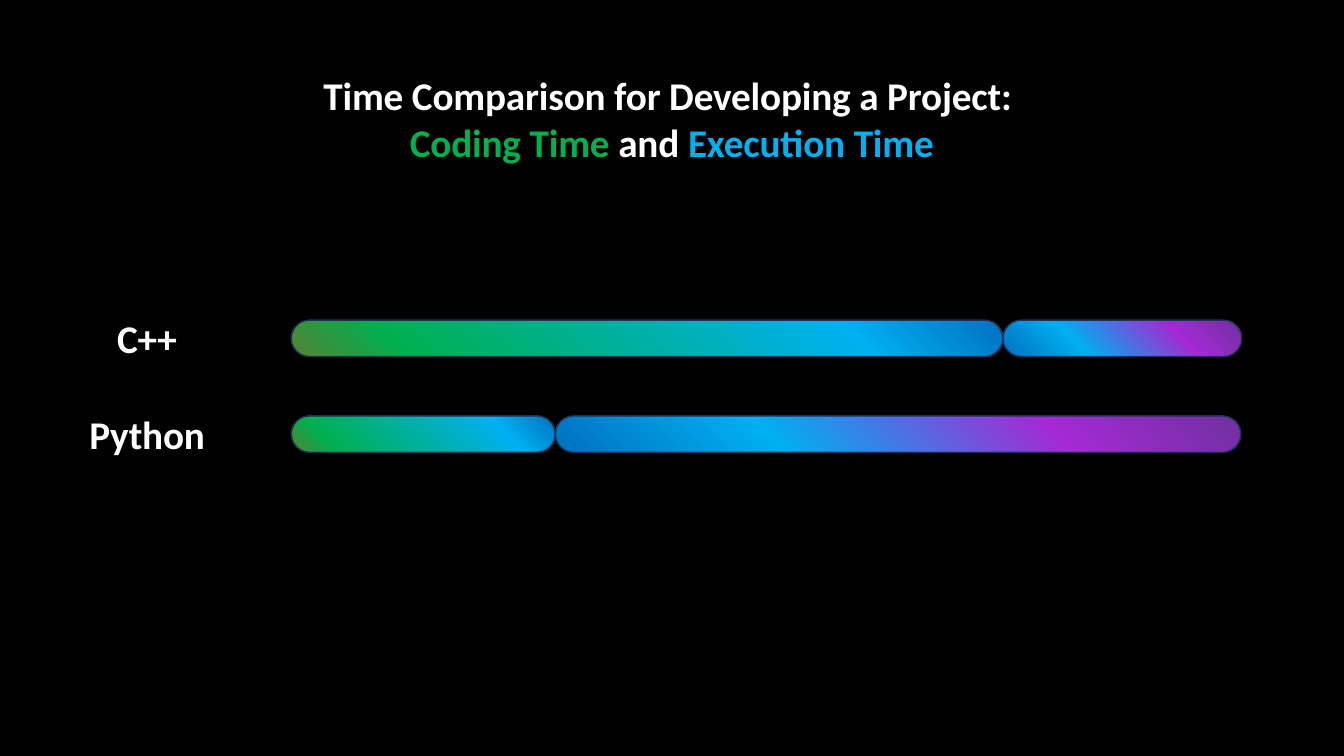
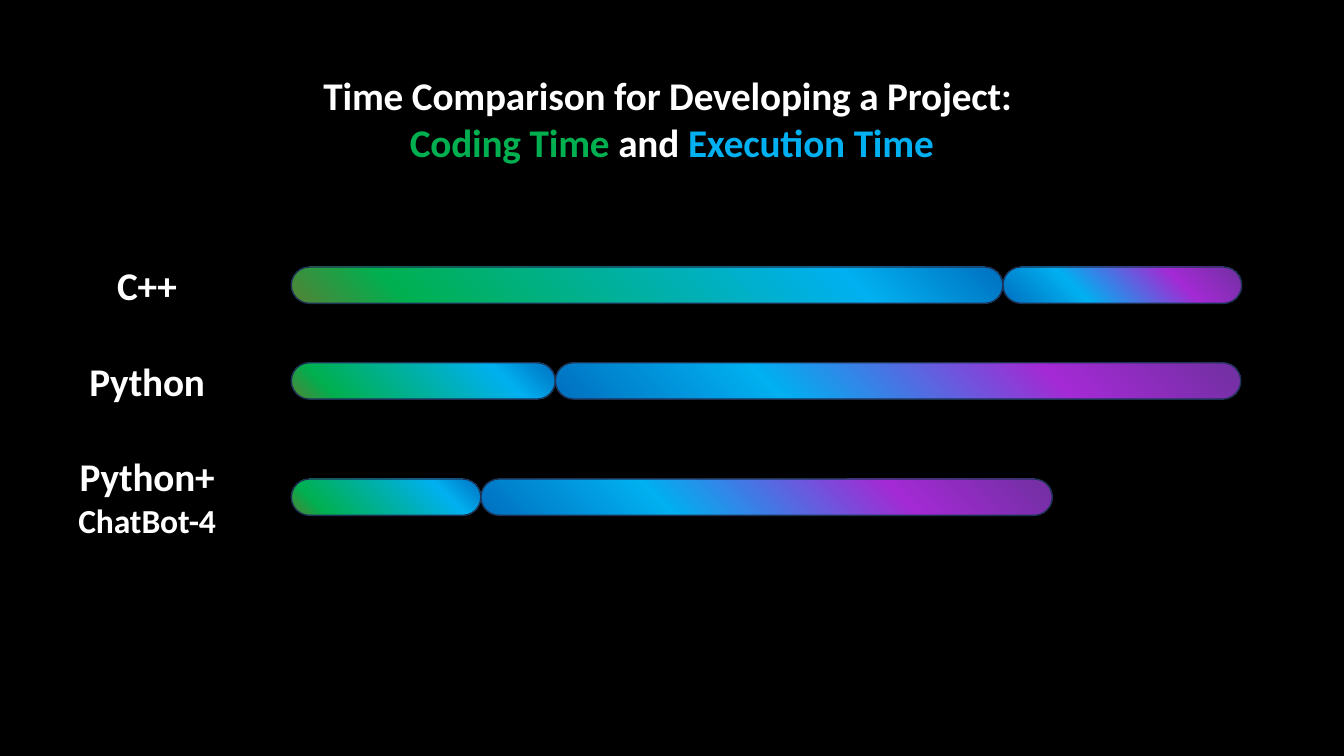
from lxml import etree
from pptx import Presentation
from pptx import util as u
from pptx.dml.color import RGBColor
from pptx.enum import shapes, text
from pptx.oxml import ns

COLORS = {
    "black": "000000", "white": "FFFFFF", "outline": "1E3256",
    "moss": "548235", "green": "00B050", "sky": "00B0F0", "azure": "0078C6",
    "blue": "0070C0", "violet": "A32AD4", "purple": "7030A0",
}
GRADIENTS = {
    "coding bar": [(0, "moss"), (16, "green"), (78, "sky"), (100, "blue")],
    "execution bar": [(0, "blue"), (32, "sky"), (72, "violet"), (100, "purple")],
    "coding text": [(0, "moss"), (23, "green"), (45, "sky"), (65, "azure"), (98, "blue")],
    "execution text": [(22, "blue"), (45, "sky"), (69, "violet"), (95, "purple")],
}
TITLE = [
    (28, [("Time Comparison for Developing a Project: ", None)]),
    (28, [("Coding Time ", "coding text"), ("and ", None), ("Execution Time", "execution text")]),
]
CPP = ([("C++", 28)], 508.3, 170.6)
PYTHON = ([("Python", 28)], 188.6, 489.6)
ASSISTED = ([("Python+", 28), ("ChatBot-4", 24)], 135.4, 408.2)
SLIDES = [(221, [CPP, PYTHON]), (183, [CPP, PYTHON, ASSISTED])]

FONT = "Calibri"
BAR_LEFT, BAR_HEIGHT = 208.1, 26
LABEL_LEFT, LABEL_WIDTH = 37.4, 135.4
ROW_STEP = 68.4
LINE_RATIO, BOX_PADDING = 1.22, 7.2


def rgb(name):
    return RGBColor.from_string(COLORS[name])


class TimeDeck:
    """Builds black slides that compare coding and execution time in gradient bars."""

    def __init__(self):
        self.deck = Presentation()
        self.deck.slide_width, self.deck.slide_height = u.Pt(960), u.Pt(540)
        self.page = None

    def add_page(self):
        self.page = self.deck.slides.add_slide(self.deck.slide_layouts[6])
        fill = self.page.background.fill
        fill.solid()
        fill.fore_color.rgb = rgb("black")
        self.add_text(178.6, 47.5, 602.6, TITLE)

    def paint(self, fill, properties, gradient):
        fill.gradient()
        fill.gradient_angle = 45
        stops = properties.find(ns.qn("a:gradFill")).find(ns.qn("a:gsLst"))
        for stop in list(stops):
            stops.remove(stop)
        for percent, color in GRADIENTS[gradient]:
            stop = etree.SubElement(stops, ns.qn("a:gs"), pos=str(percent * 1000))
            etree.SubElement(stop, ns.qn("a:srgbClr"), val=COLORS[color])

    def add_text(self, left, top, width, lines):
        height = BOX_PADDING + sum(size * LINE_RATIO for size, _ in lines)
        box = self.page.shapes.add_textbox(u.Pt(left), u.Pt(top), u.Pt(width), u.Pt(height))
        frame = box.text_frame
        frame.word_wrap = True
        frame.auto_size = text.MSO_AUTO_SIZE.SHAPE_TO_FIT_TEXT
        for index, (size, spans) in enumerate(lines):
            para = frame.add_paragraph() if index else frame.paragraphs[0]
            para.alignment = text.PP_ALIGN.CENTER
            font = para.font
            font.name, font.size, font.bold = FONT, u.Pt(size), True
            font.color.rgb = rgb("white")
            para._p.pPr.find(ns.qn("a:defRPr")).set("spc", "-10")
            for words, gradient in spans:
                span = para.add_run()
                span.text = words
                if gradient:
                    self.paint(span.font.fill, span._r.get_or_add_rPr(), gradient)
        return height

    def add_bar(self, left, top, width, gradient):
        bar = self.page.shapes.add_shape(
            shapes.MSO_SHAPE.ROUNDED_RECTANGLE,
            u.Pt(left), u.Pt(top), u.Pt(width), u.Pt(BAR_HEIGHT))
        bar.adjustments[0] = 0.5
        bar.shadow.inherit = False
        self.paint(bar.fill, bar.element.spPr, gradient)
        bar.line.color.rgb = rgb("outline")
        bar.line.width = u.Pt(1)

    def add_row(self, top, label, coding, execution):
        lines = [(size, [(words, None)]) for words, size in label]
        height = self.add_text(LABEL_LEFT, top, LABEL_WIDTH, lines)
        bar_top = top + (height - BAR_HEIGHT) / 2
        self.add_bar(BAR_LEFT, bar_top, coding, "coding bar")
        self.add_bar(BAR_LEFT + coding, bar_top, execution, "execution bar")


def main():
    builder = TimeDeck()
    for first_top, rows in SLIDES:
        builder.add_page()
        for index, row in enumerate(rows):
            builder.add_row(first_top + index * ROW_STEP, *row)
    builder.deck.save("out.pptx")


if __name__ == "__main__":
    main()
